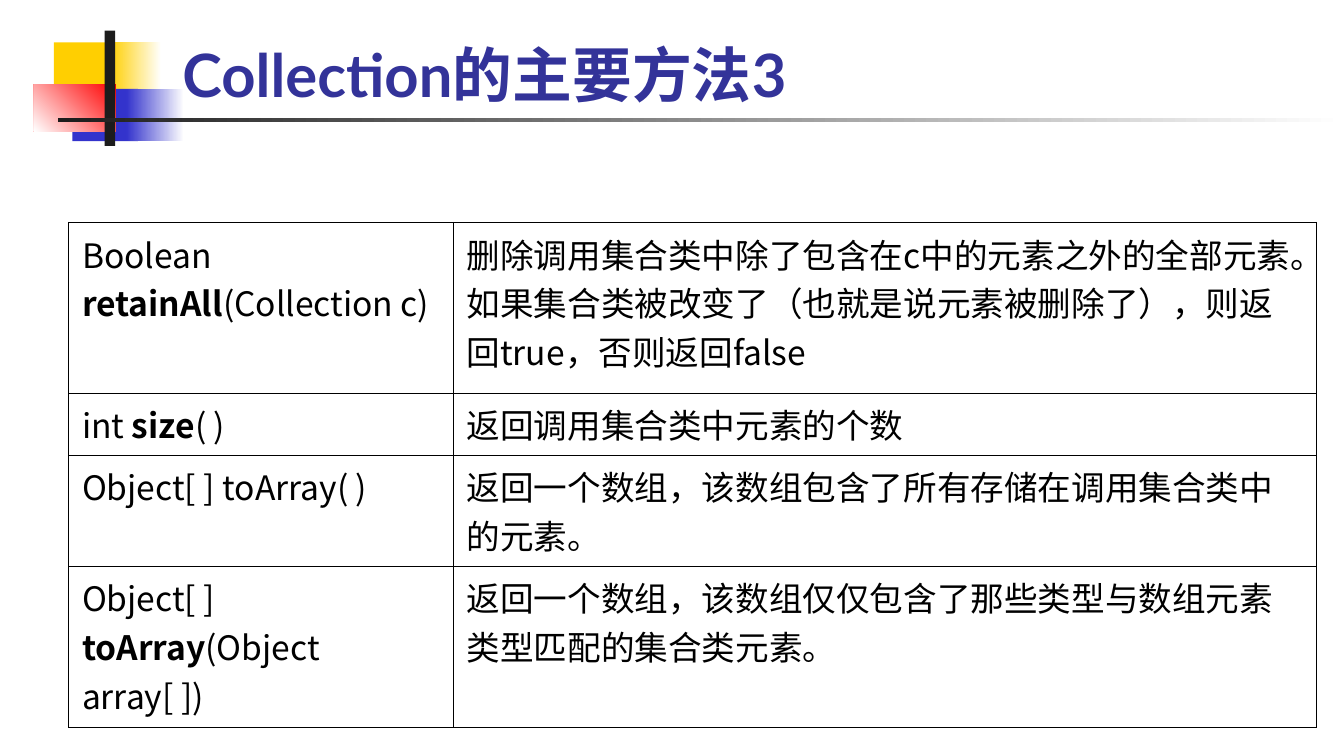
from lxml.etree import SubElement
from pptx import Presentation
from pptx.dml.color import RGBColor
from pptx.enum.shapes import MSO_SHAPE
from pptx.enum.text import MSO_ANCHOR
from pptx.oxml import parse_xml
from pptx.oxml.ns import nsdecls, qn
from pptx.util import Cm, Pt

BODY_FONT = "Noto Sans CJK SC"
TITLE_FONT = "Lato"
BORDER_WIDTH = Pt(0.45)

METHODS = [
    (3.23, ["Boolean ", "retainAll", "(Collection c)"],
     "删除调用集合类中除了包含在c中的元素之外的全部元素。如果集合类被改变了（也就是说元素被删除了），则返回true，否则返回false"),
    (1.17, ["int ", "size", "( )"], "返回调用集合类中元素的个数"),
    (2.1, ["Object[ ] toArray( )"], "返回一个数组，该数组包含了所有存储在调用集合类中的元素。"),
    (3.05, ["Object[ ] ", "toArray", "(Object array[ ])"],
     "返回一个数组，该数组仅仅包含了那些类型与数组元素类型匹配的集合类元素。"),
]


def color(hex_value):
    return RGBColor.from_string(hex_value)


def add_run(paragraph, text, size, font, hex_value, bold=False):
    run = paragraph.add_run()
    run.text = text
    run.font.size = Pt(size)
    run.font.name = font
    run.font.bold = bold
    run.font.color.rgb = color(hex_value)
    SubElement(run.font._element, qn("a:ea"), typeface=BODY_FONT)


def add_block(slide, left, top, width, height, colors, angle):
    block = slide.shapes.add_shape(
        MSO_SHAPE.RECTANGLE, Cm(left), Cm(top), Cm(width), Cm(height))
    block.shadow.inherit = False
    block.line.fill.background()
    if len(colors) == 1:
        block.fill.solid()
        block.fill.fore_color.rgb = color(colors[0])
        return
    block.fill.gradient()
    block.fill.gradient_angle = angle
    for stop, position, hex_value in zip(block.fill.gradient_stops, (0, 1), colors):
        stop.position = position
        stop.color.rgb = color(hex_value)


def add_ornament(slide, left, top):
    blocks = [
        (0.38, 0.22, 1.3, 0.99, ["FFCF01"], 0),
        (1.44, 0.22, 0.97, 0.99, ["FFFFFF", "FFCF01"], 180),
        (0.73, 1.1, 1.24, 0.99, ["3333CC"], 0),
        (1.75, 1.1, 1.09, 0.99, ["FFFFFF", "3333CC"], 180),
        (0, 1.01, 1.55, 0.89, ["FF0000", "FFFFFF"], 225),
        (1.34, 0, 0.2, 2.18, ["1C1C1C"], 0),
        (0.45, 1.65, 24.31, 0.07, ["FFFFFF", "1C1C1C"], 180),
    ]
    for x, y, width, height, colors, angle in blocks:
        add_block(slide, left + x, top + y, width, height, colors, angle)


def add_title(slide, left, top, width, height):
    title = slide.shapes.add_textbox(Cm(left), Cm(top), Cm(width), Cm(height))
    title.text_frame.word_wrap = True
    title.text_frame.vertical_anchor = MSO_ANCHOR.BOTTOM
    add_run(title.text_frame.paragraphs[0], "Collection的主要方法3",
            32, TITLE_FONT, "333399", bold=True)


def add_borders(cell):
    properties = cell._tc.get_or_add_tcPr()
    for index, side in enumerate(("lnL", "lnR", "lnT", "lnB")):
        properties.insert(index, parse_xml(
            f'<a:{side} {nsdecls("a")} w="{BORDER_WIDTH}"><a:solidFill>'
            f'<a:srgbClr val="000000"/></a:solidFill></a:{side}>'))


def fill_cell(cell, texts):
    cell.fill.background()
    add_borders(cell)
    cell.margin_left = cell.margin_right = Cm(0.25)
    cell.margin_top = cell.margin_bottom = Cm(0.13)
    for index, text in enumerate(texts):
        add_run(cell.text_frame.paragraphs[0], text,
                18, BODY_FONT, "000000", bold=index == 1)


def add_methods(slide, left, top, width):
    height = sum(row_height for row_height, _, _ in METHODS)
    methods = slide.shapes.add_table(
        len(METHODS), 2, Cm(left), Cm(top), Cm(width), Cm(height)).table
    methods.first_row = methods.horz_banding = False
    signature_width = 7.27
    methods.columns[0].width = Cm(signature_width)
    methods.columns[1].width = Cm(width - signature_width)
    for row, (row_height, signature, description) in zip(methods.rows, METHODS):
        row.height = Cm(row_height)
        fill_cell(row.cells[0], signature)
        fill_cell(row.cells[1], [description])


def main():
    deck = Presentation()
    deck.slide_width, deck.slide_height = Cm(25.4), Cm(14.29)
    slide = deck.slides.add_slide(deck.slide_layouts[6])
    add_ornament(slide, 0.64, 0.58)
    add_title(slide, 3.2, 0.45, 21.64, 1.75)
    add_methods(slide, 1.3, 4.2, 23.57)
    deck.save("out.pptx")


if __name__ == "__main__":
    main()
